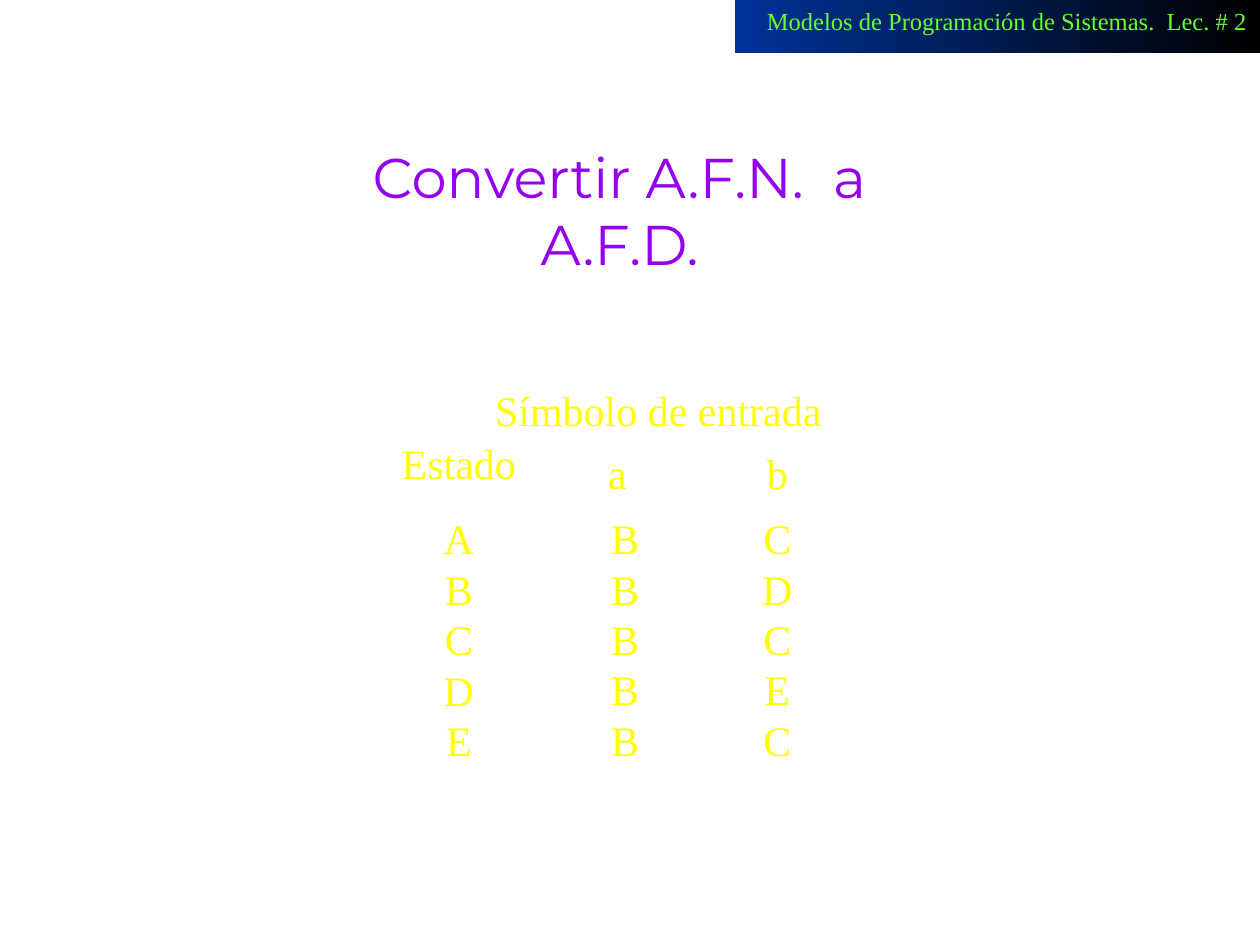
from lxml.etree import SubElement
from pptx import Presentation
from pptx.dml.color import RGBColor
from pptx.enum.shapes import MSO_CONNECTOR, MSO_SHAPE
from pptx.enum.text import MSO_ANCHOR, MSO_AUTO_SIZE, PP_ALIGN
from pptx.oxml.ns import qn
from pptx.util import Cm, Pt

COLORS = {
    "black": "000000",
    "navy": "003399",
    "green": "66FF33",
    "violet": "9400ED",
    "yellow": "FFFF00",
    "white": "FFFFFF",
}
SERIF, SANS = "Times New Roman", "Montserrat"

COURSE = "Modelos de Programación de Sistemas.  Lec. # 2"
TITLE = "Convertir A.F.N.  a A.F.D."

# Transition table: lines of text and box (left, top, width, height) in cm
HEADINGS = [
    ("Símbolo de entrada", (9.73, 7.62, 8.38, 1.27)),
    ("a", (12.01, 8.89, 0.99, 1.27)),
    ("b", (15.21, 8.89, 1.02, 1.27)),
]
COLUMNS = [
    (["Estado", *"ABCDE"], (7.65, 8.69, 3.2, 6.86)),
    (list("BBBBB"), (12.07, 10.21, 1.07, 5.33)),
    (list("CDCEC"), (15.11, 10.21, 1.12, 5.33)),
]
HEADING_GAP = 14.4  # points between "Estado" and the first state

TOP, MIDDLE, BOTTOM, RIGHT = 9.09, 10.01, 16.08, 16.94
HORIZONTAL_RULES = [(11.05, TOP), (7.87, MIDDLE), (8.28, BOTTOM)]  # start x, y
VERTICAL_RULES = [11.13, 14.2, RIGHT]


def color(name):
    return RGBColor.from_string(COLORS[name])


def write(sp, lines, *, size=24, font=SERIF, fill="yellow", align=PP_ALIGN.LEFT,
          first_gap=0):
    """Fill a shape with one paragraph per line; first_gap follows the first."""
    tf = sp.text_frame
    tf.word_wrap = False
    tf.auto_size = MSO_AUTO_SIZE.NONE
    tf.vertical_anchor = MSO_ANCHOR.TOP
    for i, line in enumerate(lines):
        p = tf.paragraphs[0] if i == 0 else tf.add_paragraph()
        p.alignment = align
        if i == 1 and first_gap:
            p.space_before = Pt(first_gap)
        r = p.add_run()
        r.text = line
        r.font.name, r.font.size = font, Pt(size)
        r.font.color.rgb = color(fill)


def add_text(s, lines, box, **style):
    write(s.shapes.add_textbox(*map(Cm, box)), lines, **style)


def add_rule(s, *ends):
    line = s.shapes.add_connector(MSO_CONNECTOR.STRAIGHT, *map(Cm, ends))
    line.line.color.rgb = color("white")
    line.line.width = Pt(1)
    SubElement(line._element.spPr, qn("a:effectLst"))


def add_banner(s):
    sp = s.shapes.add_shape(MSO_SHAPE.RECTANGLE, *map(Cm, (14.81, 0, 10.59, 1.07)))
    sp.shadow.inherit = False
    sp.line.fill.background()
    sp.fill.gradient()
    sp.fill.gradient_angle = 180
    for stop, name in zip(sp.fill.gradient_stops, ("black", "navy")):
        stop.color.rgb = color(name)
    add_text(s, [COURSE], (15.21, 0, 10.19, 0.86), size=14, fill="green")


def add_title(s):
    title = s.shapes.title
    title.left, title.top, title.width, title.height = map(
        Cm, (5.72, 2.74, 13.54, 2.01))
    write(title, [TITLE], size=32, font=SANS, fill="violet", align=PP_ALIGN.CENTER)


def add_transition_table(s):
    for text, box in HEADINGS:
        add_text(s, [text], box)
    for lines, box in COLUMNS:
        gap = HEADING_GAP if lines[0] == "Estado" else 0
        add_text(s, lines, box, align=PP_ALIGN.CENTER, first_gap=gap)
    for x, y in HORIZONTAL_RULES:
        add_rule(s, x, y, RIGHT, y)
    for x in VERTICAL_RULES:
        add_rule(s, x, TOP, x, BOTTOM)


def main():
    prs = Presentation()
    prs.slide_width, prs.slide_height = Cm(25.4), Cm(19.05)
    s = prs.slides.add_slide(prs.slide_layouts[5])
    add_banner(s)
    add_title(s)
    add_transition_table(s)
    prs.save("out.pptx")


if __name__ == "__main__":
    main()
